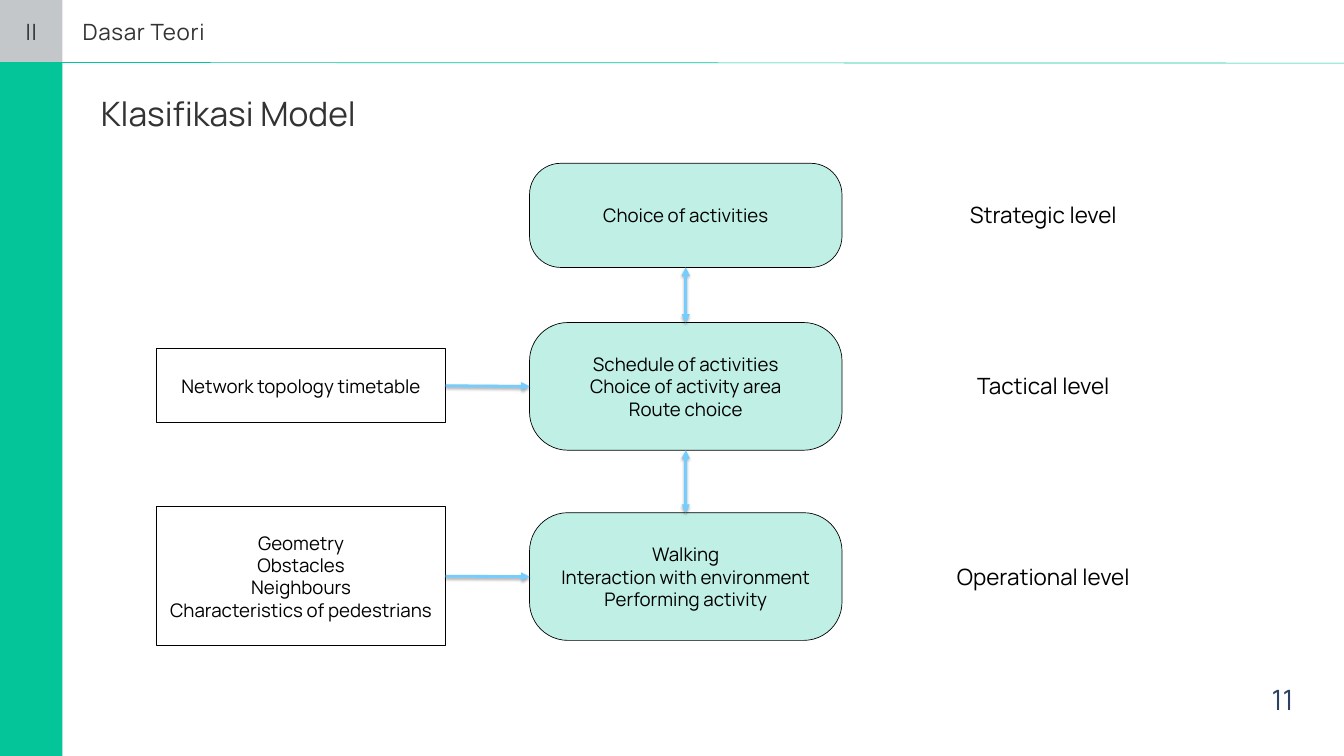
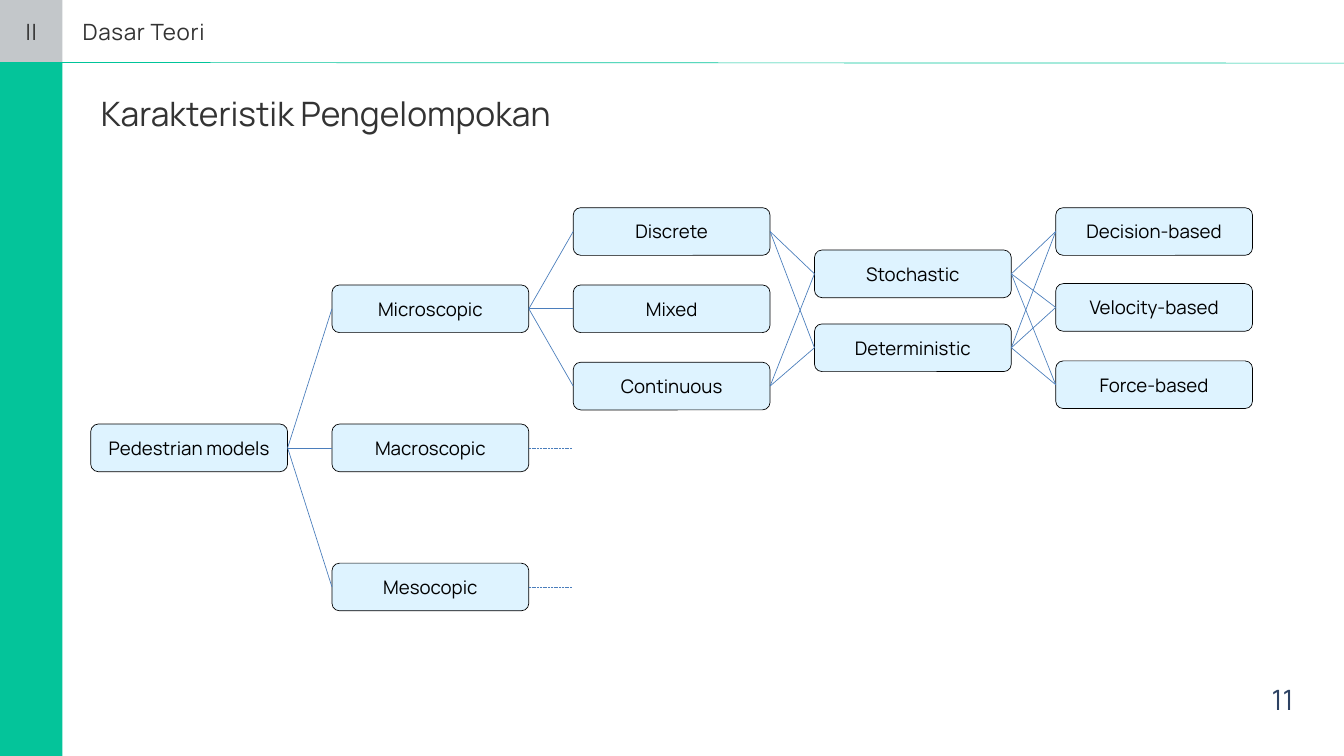
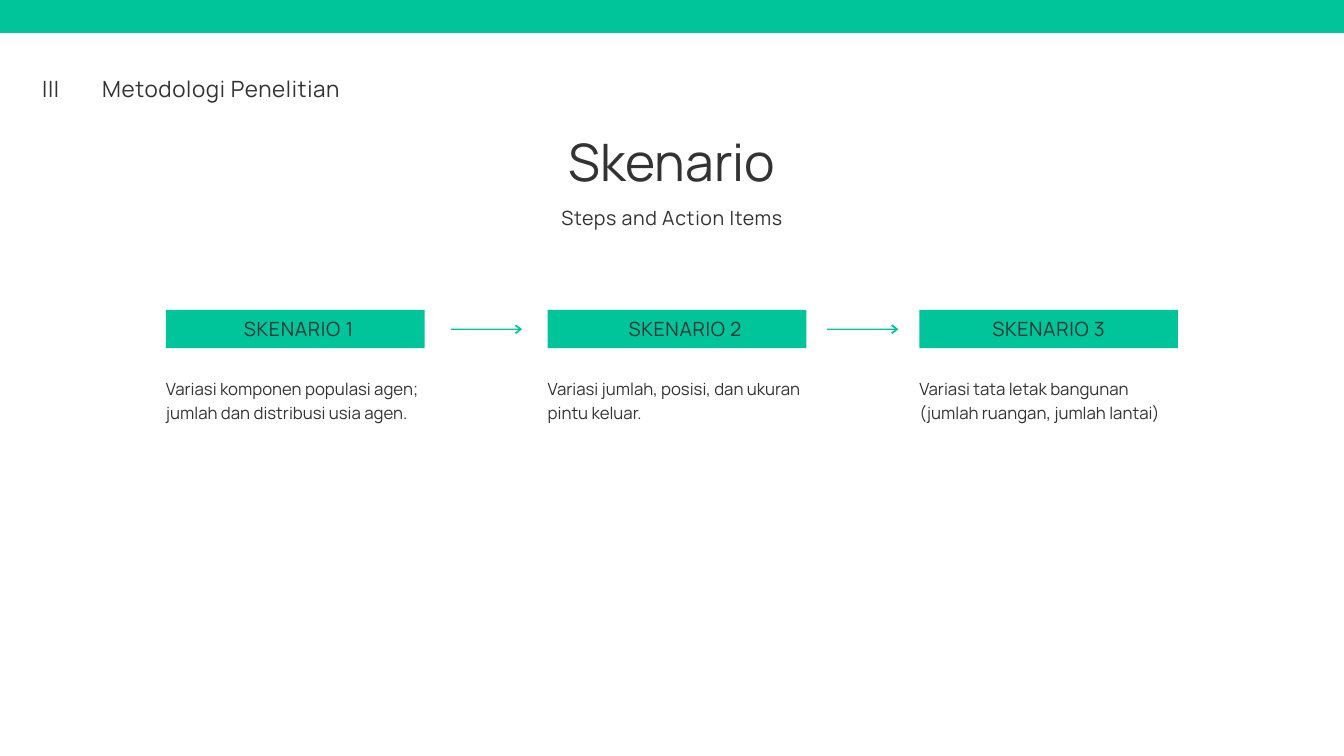
from dataclasses import dataclass

from lxml import etree
from pptx import Presentation
from pptx.dml.color import RGBColor
from pptx.enum.dml import MSO_LINE
from pptx.enum.shapes import MSO_CONNECTOR, MSO_SHAPE
from pptx.enum.text import MSO_ANCHOR, MSO_AUTO_SIZE, PP_ALIGN
from pptx.oxml.ns import qn
from pptx.shapes.autoshape import Shape
from pptx.shapes.connector import Connector
from pptx.slide import Slide
from pptx.util import Inches, Pt

FONT = "Manrope"
COLORS = {
    "green": "00C49A", "band": "04C49A", "gray": "C3C7CA", "sky": "73CDFF",
    "blue": "4B7EBC", "navy": "2D4263", "text": "333333", "black": "000000",
}
TOP, LEFT, BOTTOM, RIGHT = range(4)  # connection sites of a rectangle
TITLE_ONLY = 5


@dataclass
class Box:
    """A place on the slide, in inches, and the text that stands there."""
    left: float
    top: float
    width: float
    height: float
    text: str = ""

    def lengths(self) -> list[Inches]:
        return [Inches(n) for n in (self.left, self.top, self.width, self.height)]


@dataclass
class BoxStyle:
    preset: MSO_SHAPE
    fill: str = ""
    alpha: int = 100
    line: str = ""
    corner: float = 0


LEVEL = BoxStyle(MSO_SHAPE.ROUNDED_RECTANGLE, "band", 25, "black", 0.3)
INPUT = BoxStyle(MSO_SHAPE.RECTANGLE, line="black")
MODEL = BoxStyle(MSO_SHAPE.ROUNDED_RECTANGLE, "sky", 23, "black", 0.16)
GRAY_BAND = BoxStyle(MSO_SHAPE.RECTANGLE, "gray")
SIDE_BAND = BoxStyle(MSO_SHAPE.RECTANGLE, "band")
GREEN_BAND = BoxStyle(MSO_SHAPE.RECTANGLE, "green")


def rgb(name: str) -> RGBColor:
    return RGBColor.from_string(COLORS[name])


# Text
def write(shape: Shape, text: str, *, size: float, color: str = "text",
          align: PP_ALIGN = PP_ALIGN.LEFT, anchor: MSO_ANCHOR = MSO_ANCHOR.TOP,
          line_height: float = 0, tracking: float = 0, margin: float = 0,
          indent: float = 0) -> None:
    frame = shape.text_frame
    frame.text = text
    frame.word_wrap = True
    frame.auto_size = MSO_AUTO_SIZE.NONE
    frame.vertical_anchor = anchor
    frame.margin_left = Inches(margin + indent)
    frame.margin_top = frame.margin_right = frame.margin_bottom = Inches(margin)
    for paragraph in frame.paragraphs:
        paragraph.alignment = align
        if line_height:
            paragraph.line_spacing = Pt(line_height)
        for run in paragraph.runs:
            run.font.name = FONT
            run.font.size = Pt(size)
            run.font.color.rgb = rgb(color)
            if tracking:
                run._r.get_or_add_rPr().set("spc", str(round(tracking * 100)))


def add_text(slide: Slide, box: Box, **text_format) -> None:
    write(slide.shapes.add_textbox(*box.lengths()), box.text, **text_format)


def place_title(slide: Slide, box: Box, **text_format) -> None:
    title = slide.shapes.title
    title.left, title.top, title.width, title.height = box.lengths()
    write(title, box.text, **text_format)


# Shapes and lines
def add_box(slide: Slide, box: Box, style: BoxStyle, **text_format) -> Shape:
    shape = slide.shapes.add_shape(style.preset, *box.lengths())
    shape.shadow.inherit = False
    if style.corner:
        shape.adjustments[0] = style.corner
    if style.fill:
        shape.fill.solid()
        shape.fill.fore_color.rgb = rgb(style.fill)
    else:
        shape.fill.background()
    if style.alpha < 100:
        color = shape._element.spPr.find(f"{qn('a:solidFill')}/{qn('a:srgbClr')}")
        etree.SubElement(color, qn("a:alpha"), val=str(style.alpha * 1000))
    if style.line:
        shape.line.color.rgb = rgb(style.line)
        shape.line.width = Pt(0.75)
    else:
        shape.line.fill.background()
    if box.text:
        settings = dict(size=20, color="black", align=PP_ALIGN.CENTER,
                        anchor=MSO_ANCHOR.MIDDLE, margin=0.1)
        write(shape, box.text, **(settings | text_format))
    return shape


def add_line(slide: Slide, start: tuple[int, int], end: tuple[int, int],
             color: str, width: float = 0.75) -> Connector:
    line = slide.shapes.add_connector(MSO_CONNECTOR.STRAIGHT, *start, *end)
    line.line.color.rgb = rgb(color)
    line.line.width = Pt(width)
    etree.SubElement(line._element.spPr, qn("a:effectLst"))
    return line


def join(slide: Slide, first: Shape, first_site: int, second: Shape,
         second_site: int, color: str = "blue", width: float = 0.75) -> Connector:
    line = add_line(slide, (0, 0), (0, 0), color, width)
    line.begin_connect(first, first_site)
    line.end_connect(second, second_site)
    return line


def add_arrow(slide: Slide, first: Shape, first_site: int, second: Shape,
              second_site: int, both_ways: bool = False) -> None:
    """Join two boxes with a thick arrow that has a soft shadow."""
    arrow = join(slide, first, first_site, second, second_site, "sky", 3)
    outline = arrow.line._get_or_add_ln()
    for end in ["headEnd", "tailEnd"] if both_ways else ["tailEnd"]:
        etree.SubElement(outline, qn(f"a:{end}"), type="triangle")
    effects = arrow._element.spPr.find(qn("a:effectLst"))
    shadow = etree.SubElement(effects, qn("a:outerShdw"), blurRad=str(Pt(3.1)),
                              dist=str(Pt(1.8)), dir="5400000", rotWithShape="0")
    color = etree.SubElement(shadow, qn("a:srgbClr"), val=COLORS["black"])
    etree.SubElement(color, qn("a:alpha"), val="35000")


def add_thin_arrow(slide: Slide, left: float, middle: float) -> None:
    outline = [(0, -0.01), (1.01, -0.01), (0.95, -0.05), (0.97, -0.07),
               (1.06, 0), (0.97, 0.07), (0.95, 0.05), (1.01, 0.01), (0, 0.01)]
    points = [(Inches(left + x), Inches(middle + y)) for x, y in outline]
    builder = slide.shapes.build_freeform(*points[0])
    builder.add_line_segments(points[1:])
    arrow = builder.convert_to_shape()
    arrow.shadow.inherit = False
    arrow.fill.solid()
    arrow.fill.fore_color.rgb = rgb("green")
    arrow.line.fill.background()


# Parts the slides share
def add_section(slide: Slide, number: str, name: str, left: float, top: float) -> None:
    settings = dict(size=24, line_height=28.8, tracking=0.7)
    add_text(slide, Box(left, top, 0.59, 0.41, number), align=PP_ALIGN.CENTER, **settings)
    add_text(slide, Box(left + 1.06, top, 11.58, 0.41, name), **settings)


def add_theory_slide(presentation: Presentation, title: str) -> Slide:
    slide = presentation.slides.add_slide(presentation.slide_layouts[TITLE_ONLY])
    add_box(slide, Box(0, 0, 0.93, 0.94), GRAY_BAND)
    add_box(slide, Box(0, 0.94, 0.93, 10.31), SIDE_BAND)
    add_line(slide, (0, Inches(0.93)), (Inches(20), Inches(0.94)), "green")
    add_section(slide, "II", "Dasar Teori", 0.17, 0.27)
    place_title(slide, Box(1.5, 1.38, 12, 0.61, title), size=36, anchor=MSO_ANCHOR.MIDDLE)
    add_text(slide, Box(18.5, 9.99, 0.75, 0.64, "11"), size=30, color="navy",
             align=PP_ALIGN.RIGHT, line_height=48)
    return slide


# Slide 1: levels of choice and their inputs
def build_classification(presentation: Presentation) -> None:
    slide = add_theory_slide(presentation, "Klasifikasi Model")
    rows = [
        ("Strategic level", 2.43, 1.55, "Choice of activities"),
        ("Tactical level", 4.8, 1.9,
         "Schedule of activities\nChoice of activity area\nRoute choice"),
        ("Operational level", 7.63, 1.9,
         "Walking\nInteraction with environment\nPerforming activity"),
    ]
    levels = []
    for name, top, height, text in rows:
        levels.append(add_box(slide, Box(7.88, top, 4.65, height, text), LEVEL))
        add_text(slide, Box(12.97, top + height / 2 - 0.47, 5.11, 0.93, name), size=24,
                 color="black", align=PP_ALIGN.CENTER, anchor=MSO_ANCHOR.MIDDLE, margin=0.1)
    for upper, lower in zip(levels, levels[1:]):
        add_arrow(slide, upper, BOTTOM, lower, TOP, both_ways=True)

    inputs = [
        Box(2.33, 5.19, 4.3, 1.1, "Network topology timetable"),
        Box(2.33, 7.54, 4.3, 2.07,
            "Geometry\nObstacles\nNeighbours\nCharacteristics of pedestrians"),
    ]
    for box, level in zip(inputs, levels[1:]):
        add_arrow(slide, add_box(slide, box, INPUT), RIGHT, level, LEFT)


# Slide 2: tree of pedestrian models
def build_grouping(presentation: Presentation) -> None:
    slide = add_theory_slide(presentation, "Karakteristik Pengelompokan")
    columns = [
        {"Pedestrian models": 6.31},
        {"Microscopic": 4.24, "Macroscopic": 6.31, "Mesocopic": 8.38},
        {"Discrete": 3.09, "Mixed": 4.24, "Continuous": 5.39},
        {"Stochastic": 3.72, "Deterministic": 4.82},
        {"Decision-based": 3.09, "Velocity-based": 4.22, "Force-based": 5.37},
    ]
    models = {
        name: add_box(slide, Box(1.35 + 3.59 * column, top, 2.93, 0.71, name), MODEL)
        for column, tops in enumerate(columns) for name, top in tops.items()
    }
    # Each named model branches to every model of the next column
    parents = ["Pedestrian models", "Microscopic", "Discrete", "Continuous",
               "Stochastic", "Deterministic"]
    for column, following in zip(columns, columns[1:]):
        for parent in column:
            if parent in parents:
                for child in following:
                    join(slide, models[parent], RIGHT, models[child], LEFT)
    # Branches left open
    for name in ["Macroscopic", "Mesocopic"]:
        model = models[name]
        right, middle = model.left + model.width, model.top + model.height // 2
        line = add_line(slide, (right, middle), (right + Inches(0.65), middle), "blue")
        line.line.dash_style = MSO_LINE.SQUARE_DOT
        line.begin_connect(model, RIGHT)


# Slide 3: scenarios in sequence
def build_scenarios(presentation: Presentation) -> None:
    slide = presentation.slides.add_slide(presentation.slide_layouts[TITLE_ONLY])
    add_box(slide, Box(0, 0, 20, 0.49), GREEN_BAND)
    add_section(slide, "III", "Metodologi Penelitian", 0.46, 1.12)
    place_title(slide, Box(3.9, 1.93, 12.2, 0.93, "Skenario"), size=55.3,
                align=PP_ALIGN.CENTER, line_height=66.4)
    label_format = dict(size=21, color="text", align=PP_ALIGN.CENTER,
                        line_height=25.2, tracking=0.7)
    add_text(slide, Box(3.9, 3.07, 12.2, 0.34, "Steps and Action Items"), **label_format)

    scenarios = [
        (2.47, 0.1, "Variasi komponen populasi agen; jumlah dan distribusi usia agen."),
        (8.15, 0.24, "Variasi jumlah, posisi, dan ukuran pintu keluar."),
        (13.68, 0, "Variasi tata letak bangunan (jumlah ruangan, jumlah lantai)"),
    ]
    for number, (left, indent, text) in enumerate(scenarios, start=1):
        add_box(slide, Box(left, 4.61, 3.85, 0.57, f"SKENARIO {number}"), GREEN_BAND,
                margin=0, indent=indent, **label_format)
        add_text(slide, Box(left, 5.59, 3.85, 1.04, text), size=18, line_height=25.2)
    for left in (6.71, 12.31):
        add_thin_arrow(slide, left, 4.9)


def main() -> None:
    presentation = Presentation()
    presentation.slide_width = Inches(20)
    presentation.slide_height = Inches(11.25)
    build_classification(presentation)
    build_grouping(presentation)
    build_scenarios(presentation)
    presentation.save("out.pptx")


if __name__ == "__main__":
    main()
